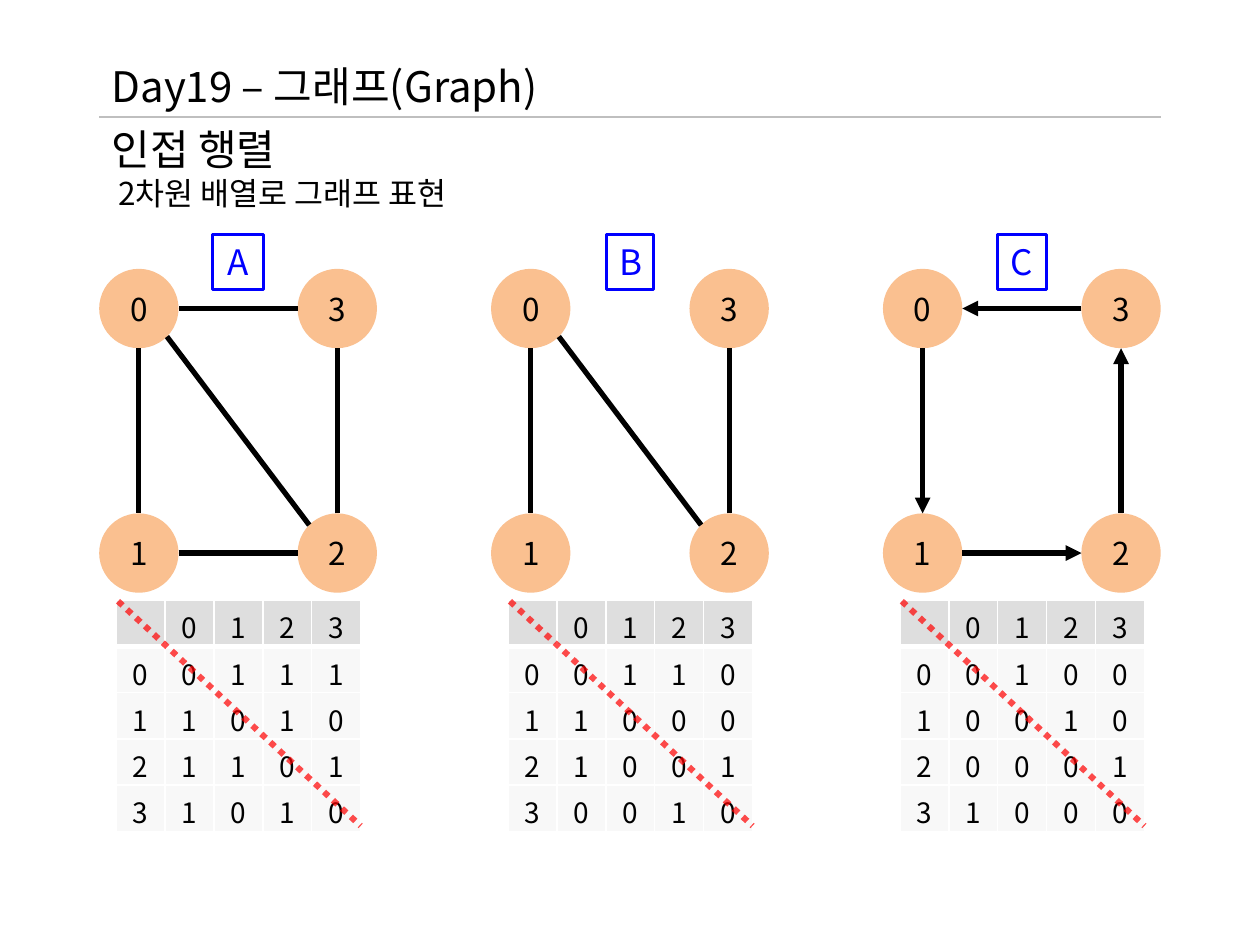
import math

import pptx
import pptx.dml.color
import pptx.enum.dml
import pptx.enum.shapes
import pptx.enum.text
import pptx.oxml
import pptx.oxml.ns
import pptx.util

Cm = pptx.util.Cm
Pt = pptx.util.Pt
qn = pptx.oxml.ns.qn

FONT = "Noto Sans CJK KR"
COLORS = {
    "text": "000000",
    "rule": "BFBFBF",
    "node": "FAC090",
    "label": "0000FF",
    "header": "BFBFBF",
    "body": "F2F2F2",
    "border": "FFFFFF",
    "diagonal": "FF0000",
}

# Node centres as (column, row) on the square of each graph
NODES = {0: (0, 0), 1: (0, 1), 3: (1, 0), 2: (1, 1)}
NODE_SIZE = 1.6
COLUMN_GAP, ROW_GAP = 4, 4.93

# Label, label width, edges, directed
GRAPHS = [
    ("A", 1.02, [(0, 1), (1, 2), (2, 3), (3, 0), (2, 0)], False),
    ("B", 0.94, [(0, 1), (0, 2), (2, 3)], False),
    ("C", 0.99, [(0, 1), (1, 2), (2, 3), (3, 0)], True),
]


def rgb(name):
    return pptx.dml.color.RGBColor.from_string(COLORS[name])


def add_element(parent, tag, **attributes):
    element = parent.makeelement(qn(tag), attributes)
    parent.append(element)
    return element


def set_alpha(properties, percent):
    for color in properties.iter(qn("a:srgbClr")):
        add_element(color, "a:alpha", val=str(percent * 1000))


def format_text(paragraph, size, color="text", centered=True):
    if centered:
        paragraph.alignment = pptx.enum.text.PP_ALIGN.CENTER
    for run in paragraph.runs:
        run.font.size = Pt(size)
        run.font.name = FONT
        run.font.color.rgb = rgb(color)
        add_element(run.font._element, "a:ea", typeface=FONT)


def add_line(slide, start, end, color, width):
    points = [Cm(value) for value in (*start, *end)]
    line = slide.shapes.add_connector(
        pptx.enum.shapes.MSO_CONNECTOR.STRAIGHT, *points)
    line.line.color.rgb = rgb(color)
    line.line.width = Pt(width)
    add_element(line._element.spPr, "a:effectLst")
    return line


def add_heading(slide, left, top, width, height, lines):
    """Text box with one (text, size, indent) entry per paragraph."""
    box = slide.shapes.add_textbox(Cm(left), Cm(top), Cm(width), Cm(height))
    frame = box.text_frame
    frame.word_wrap = True
    frame.text = "\n".join(text for text, _, _ in lines)
    for paragraph, (_, size, indent) in zip(frame.paragraphs, lines):
        if indent:
            paragraph._p.get_or_add_pPr().set("marL", str(Cm(indent)))
        format_text(paragraph, size, centered=False)


def style_cell(cell, row):
    header = row == 0
    cell.vertical_anchor = pptx.enum.text.MSO_ANCHOR.MIDDLE
    cell.fill.solid()
    cell.fill.fore_color.rgb = rgb("header" if header else "body")
    properties = cell._tc.get_or_add_tcPr()
    set_alpha(properties, 50)
    # Thick rule between the header and the body
    widths = {"L": 1, "R": 1, "T": 3 if row == 1 else 1, "B": 3 if header else 1}
    for index, (side, width) in enumerate(widths.items()):
        border = properties.makeelement(qn(f"a:ln{side}"), {"w": str(Pt(width))})
        fill = add_element(border, "a:solidFill")
        add_element(fill, "a:srgbClr", val=COLORS["border"])
        properties.insert(index, border)


def add_matrix(slide, left, top, width, height, edges, directed):
    """Adjacency matrix with its main diagonal marked."""
    links = set(edges) if directed else set(edges) | {(b, a) for a, b in edges}
    nodes = sorted(NODES)
    rows = [["", *nodes]]
    rows += [[a, *(int((a, b) in links) for b in nodes)] for a in nodes]
    count = len(rows)
    table = slide.shapes.add_table(
        count, count, Cm(left), Cm(top), Cm(width), Cm(height)).table
    table.first_row = table.horz_banding = False
    for row, values in enumerate(rows):
        for column, value in enumerate(values):
            cell = table.cell(row, column)
            cell.text = str(value)
            paragraph = cell.text_frame.paragraphs[0]
            format_text(paragraph, 16)
            if value == "":
                add_element(paragraph._p, "a:endParaRPr", sz="1600")
            style_cell(cell, row)

    diagonal = add_line(slide, (left + 0.04, top + 0.02),
                        (left + width, top + height), "diagonal", 3.5)
    diagonal.line.dash_style = pptx.enum.dml.MSO_LINE.ROUND_DOT
    set_alpha(diagonal._element.spPr, 70)


def add_graph(slide, left, top, label, label_width, edges, directed):
    """Four nodes on a square, their edges and the label above them."""
    radius = NODE_SIZE / 2
    centers = {
        node: (left + radius + column * COLUMN_GAP, top + radius + row * ROW_GAP)
        for node, (column, row) in NODES.items()
    }
    for node, (x, y) in centers.items():
        shape = slide.shapes.add_shape(
            pptx.enum.shapes.MSO_SHAPE.OVAL,
            Cm(x - radius), Cm(y - radius), Cm(NODE_SIZE), Cm(NODE_SIZE))
        shape.shadow.inherit = False
        shape.fill.solid()
        shape.fill.fore_color.rgb = rgb("node")
        shape.line.fill.background()
        shape.text_frame.text = str(node)
        shape.text_frame.vertical_anchor = pptx.enum.text.MSO_ANCHOR.MIDDLE
        format_text(shape.text_frame.paragraphs[0], 18)

    # Edges leave the circles at multiples of 45 degrees
    for a, b in edges:
        step = [NODES[b][axis] - NODES[a][axis] for axis in (0, 1)]
        offset = [radius * part / math.hypot(*step) for part in step]
        start = [center + shift for center, shift in zip(centers[a], offset)]
        end = [center - shift for center, shift in zip(centers[b], offset)]
        line = add_line(slide, start, end, "text", 3)
        if directed:
            add_element(line.line._get_or_add_ln(), "a:tailEnd", type="triangle")

    # Label
    middle = left + radius + COLUMN_GAP / 2
    box = slide.shapes.add_textbox(
        Cm(middle - label_width / 2), Cm(top - 0.69), Cm(label_width), Cm(1.11))
    box.line.color.rgb = rgb("label")
    box.line.width = Pt(1.5)
    box.text_frame.word_wrap = False
    box.text_frame.text = label
    format_text(box.text_frame.paragraphs[0], 20, "label")


def main():
    presentation = pptx.Presentation()
    presentation.slide_width, presentation.slide_height = Cm(25.4), Cm(19.05)
    slide = presentation.slides.add_slide(presentation.slide_layouts[6])

    # Headings and rule
    left, width, rule_top = 2, 21.4, 2.36
    add_heading(slide, left, 1.09, width, 1.27, [("Day19 – 그래프(Graph)", 24, 0)])
    add_line(slide, (left, rule_top), (left + width, rule_top), "rule", 0.75)
    add_heading(slide, left, rule_top, width, 2.06,
                [("인접 행렬", 24, 0), ("2차원 배열로 그래프 표현", 18, 0.14)])

    # One matrix and graph per column
    for index, (label, label_width, edges, directed) in enumerate(GRAPHS):
        column_left = left + index * 7.9
        add_matrix(slide, column_left + 0.34, 12.1, 4.93, 4.55, edges, directed)
        add_graph(slide, column_left, 5.42, label, label_width, edges, directed)

    presentation.save("out.pptx")


if __name__ == "__main__":
    main()
